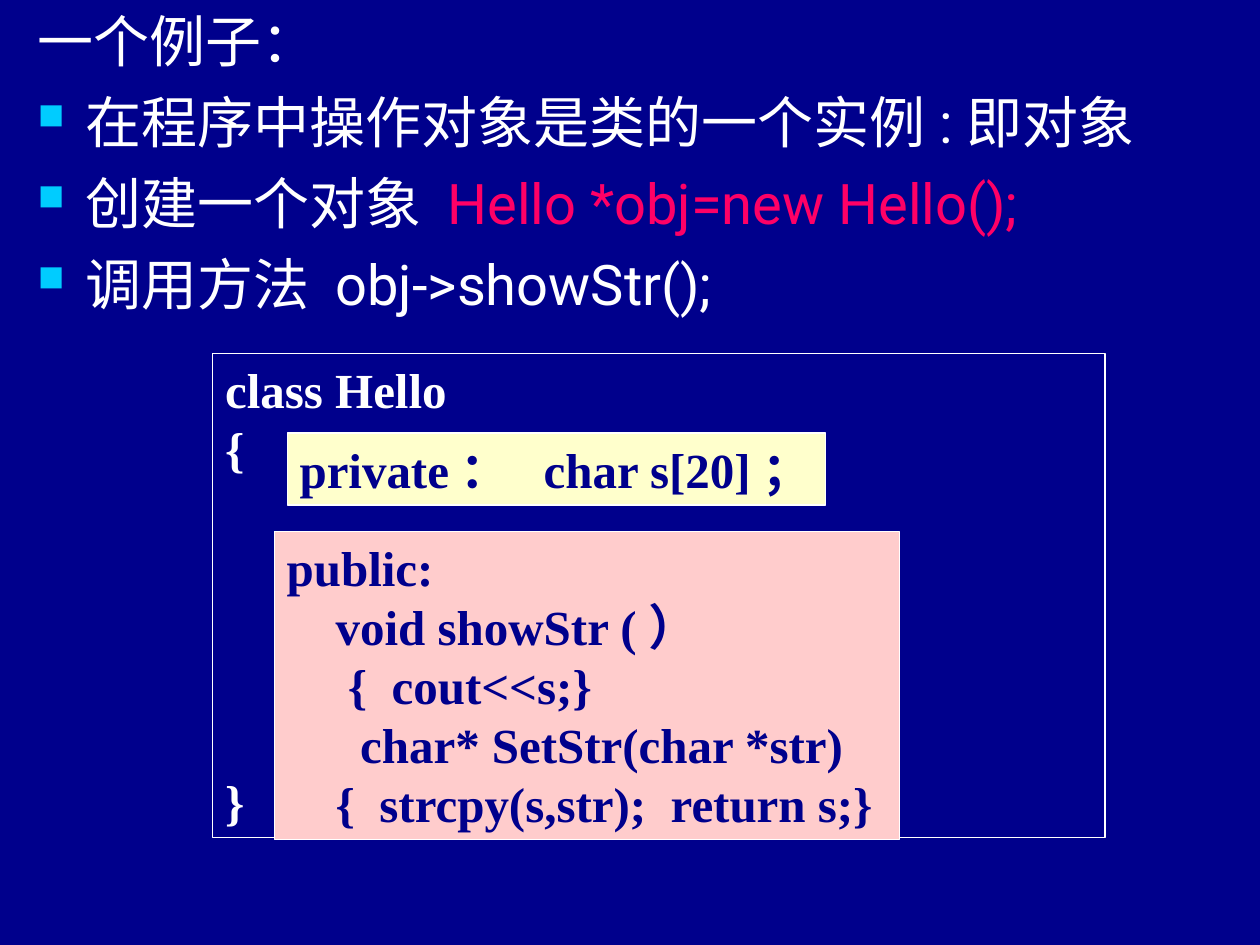
from lxml.etree import SubElement
from pptx import Presentation
from pptx.dml.color import RGBColor as Rgb
from pptx.enum.shapes import MSO_SHAPE as Shape
from pptx.enum.text import MSO_ANCHOR as Anchor, PP_ALIGN as Align
from pptx.oxml.ns import qn
from pptx.util import Cm, Pt

COLORS = {
    "navy": "00008C", "white": "FFFFFF", "cyan": "00CCFF",
    "magenta": "FF0066", "cream": "FFFFCC", "pink": "FFCCCC",
}

HEADING = "一个例子："
POINTS = [
    [("在程序中操作对象是类的一个实例:即对象", "white")],
    [("创建一个对象 ", "white"), ("Hello *obj=new Hello();", "magenta")],
    [("调用方法 obj->showStr();", "white")],
]

CODE_SIZE = 28
CODE_LINE = 33.6
CHAR_INDENT = CODE_SIZE / 4  # width of one space in the code font

# Each code line: (text, indent in characters, empty lines above)
CODE_BOXES = [
    {"place": (4.29, 7.13, 17.99, 9.75), "fill": None, "ink": "white",
     "lines": [("class Hello", 0, 0), ("{", 0, 0), ("}", 0, 5)]},
    {"place": (5.79, 8.73, 10.85, 1.45), "fill": "cream", "ink": "navy",
     "lines": [("private：  char s[20]；", 0, 0)]},
    {"place": (5.53, 10.72, 12.6, 6.2), "fill": "pink", "ink": "navy",
     "lines": [("public:", 0, 0), ("void showStr (）", 4, 0),
               ("{  cout<<s;}", 5, 0), ("char* SetStr(char *str)", 6, 0),
               ("{  strcpy(s,str);  return s;}", 4, 0)]},
]

POINT_FONT = {"name": "Roboto", "size": Pt(32)}
CODE_FONT = {"name": "Times New Roman", "size": Pt(CODE_SIZE), "bold": True}


def color(name):
    return Rgb.from_string(COLORS[name])


def add_run(paragraph, text, ink, font_values):
    run = paragraph.add_run()
    run.text = text
    for attribute, value in font_values.items():
        setattr(run.font, attribute, value)
    run.font.color.rgb = color(ink)


def paragraphs(frame, count):
    """Return the first paragraph of the frame and count - 1 new ones."""
    return [frame.paragraphs[0]] + [frame.add_paragraph() for _ in range(count - 1)]


def add_bullet(paragraph):
    properties = paragraph._p.get_or_add_pPr()
    properties.set("marL", str(Cm(0.96)))
    properties.set("indent", str(-Cm(0.96)))
    bullet_color = SubElement(properties, qn("a:buClr"))
    SubElement(bullet_color, qn("a:srgbClr"), val=COLORS["cyan"])
    SubElement(properties, qn("a:buSzPct"), val="65000")
    SubElement(properties, qn("a:buChar"), char="■")


def add_points(slide):
    frame = slide.shapes.add_textbox(Cm(0.51), Cm(0), Cm(23.7), Cm(9.32)).text_frame
    frame.word_wrap = True
    rows = [[(HEADING, "white")]] + POINTS
    for paragraph, runs in zip(paragraphs(frame, len(rows)), rows):
        paragraph.space_before = Pt(8)
        if runs in POINTS:
            add_bullet(paragraph)
        for text, ink in runs:
            add_run(paragraph, text, ink, POINT_FONT)


def add_code_box(slide, box):
    panel = slide.shapes.add_shape(Shape.RECTANGLE, *map(Cm, box["place"]))
    panel.shadow.inherit = False
    panel.line.color.rgb = color("white")
    panel.line.width = Pt(0.75)
    if box["fill"]:
        panel.fill.solid()
        panel.fill.fore_color.rgb = color(box["fill"])
    else:
        panel.fill.background()
    frame = panel.text_frame
    frame.word_wrap = True
    frame.vertical_anchor = Anchor.TOP
    lines = box["lines"]
    for paragraph, (text, indent, gap) in zip(paragraphs(frame, len(lines)), lines):
        paragraph.alignment = Align.LEFT
        paragraph.line_spacing = Pt(CODE_LINE)
        paragraph.space_before = Pt(gap * CODE_LINE)
        paragraph._p.get_or_add_pPr().set("marL", str(Pt(indent * CHAR_INDENT)))
        add_run(paragraph, text, box["ink"], CODE_FONT)


def main():
    deck = Presentation()
    deck.slide_width, deck.slide_height = Cm(25.4), Cm(19.05)
    slide = deck.slides.add_slide(deck.slide_layouts[6])
    slide.background.fill.solid()
    slide.background.fill.fore_color.rgb = color("navy")
    add_points(slide)
    for box in CODE_BOXES:
        add_code_box(slide, box)
    deck.save("out.pptx")


if __name__ == "__main__":
    main()
